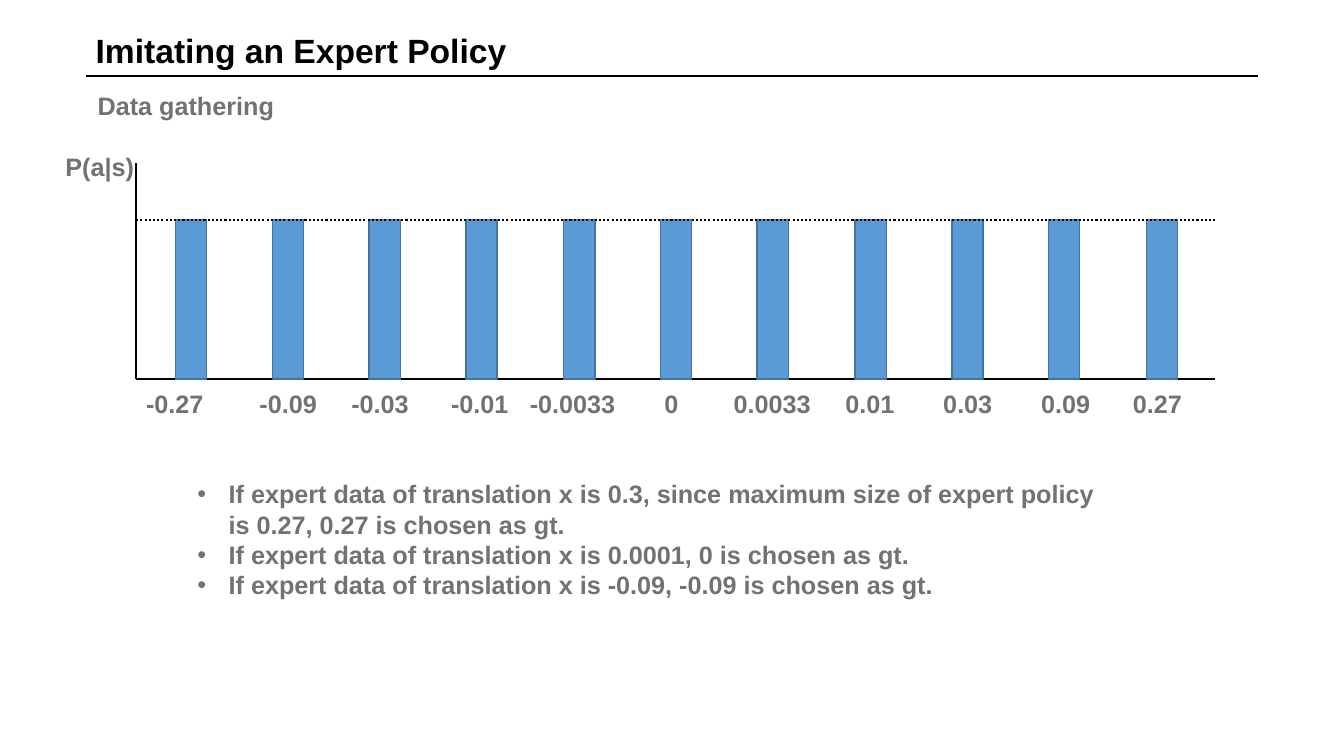
from dataclasses import dataclass

from lxml.etree import SubElement
from pptx import Presentation
from pptx.dml.color import RGBColor
from pptx.enum.dml import MSO_LINE
from pptx.enum.shapes import MSO_CONNECTOR, MSO_SHAPE
from pptx.oxml.ns import qn
from pptx.util import Pt

PX = 9144  # EMU in one px, 100 px to the inch


@dataclass(frozen=True)
class Theme:
    font: str = "Arial"
    black: RGBColor = RGBColor(0x00, 0x00, 0x00)
    grey: RGBColor = RGBColor(0x76, 0x71, 0x71)
    bar_fill: RGBColor = RGBColor(0x5B, 0x9B, 0xD5)
    bar_line: RGBColor = RGBColor(0x43, 0x73, 0x9E)
    title_size: int = 24
    body_size: int = 18
    rule_width: float = 1.5
    bar_line_width: int = 1


THEME = Theme()

ACTIONS = ["-0.27", "-0.09", "-0.03", "-0.01", "-0.0033", "0",
           "0.0033", "0.01", "0.03", "0.09", "0.27"]
# Label centres after the first one, measured from the start of the label text
LABEL_STOPS = [141, 232, 331, 423, 521, 621, 718, 815, 912, 1003]
NOTES = [
    "If expert data of translation x is 0.3, since maximum size of expert policy "
    "is 0.27, 0.27 is chosen as gt.",
    "If expert data of translation x is 0.0001, 0 is chosen as gt.",
    "If expert data of translation x is -0.09, -0.09 is chosen as gt.",
]


def add_text(page, box, lines, size=THEME.body_size, color=THEME.grey, wrap=True):
    frame = page.shapes.add_textbox(*(side * PX for side in box)).text_frame
    frame.word_wrap = wrap
    frame.text = "\n".join(lines)
    for para in frame.paragraphs:
        for span in para.runs:
            span.font.name = THEME.font
            span.font.size = Pt(size)
            span.font.bold = True
            span.font.color.rgb = color
    return frame


def add_rule(page, left, top, right, bottom, dash=None):
    rule = page.shapes.add_connector(
        MSO_CONNECTOR.STRAIGHT, left * PX, top * PX, right * PX, bottom * PX)
    rule.line.color.rgb = THEME.black
    rule.line.width = Pt(THEME.rule_width)
    if dash:
        rule.line.dash_style = dash
    SubElement(rule._element.spPr, qn("a:effectLst"))


def add_bar(page, left, top, width, height):
    bar = page.shapes.add_shape(
        MSO_SHAPE.RECTANGLE, left * PX, top * PX, width * PX, height * PX)
    bar.shadow.inherit = False
    bar.fill.solid()
    bar.fill.fore_color.rgb = THEME.bar_fill
    bar.line.color.rgb = THEME.bar_line
    bar.line.width = Pt(THEME.bar_line_width)


def add_header(page, left, top, width):
    add_rule(page, left, top + 50, left + width, top + 50)
    add_text(page, (left, top, 431, 50), ["Imitating an Expert Policy"],
             THEME.title_size, THEME.black, wrap=False)
    add_text(page, (left + 2, top + 60, 197, 40), ["Data gathering"], wrap=False)


def add_action_labels(page, left, top, width):
    frame = add_text(page, (left, top, width, 40), ["\t".join(ACTIONS)])
    stops = SubElement(frame.paragraphs[0]._p.get_or_add_pPr(), qn("a:tabLst"))
    for stop in LABEL_STOPS:
        SubElement(stops, qn("a:tab"), pos=str(stop * PX), algn="ctr")


def add_policy_plot(page, left, top, width, height):
    bar_top, bar_width, base = top + 56, 31, top + height
    first_bar, last_bar = left + 39, left + 1002
    gaps = len(ACTIONS) - 1

    # Base line and bars
    add_rule(page, left, base, left + width, base)
    for index in range(len(ACTIONS)):
        bar_left = first_bar + (last_bar - first_bar) * index // gaps
        add_bar(page, bar_left, bar_top, bar_width, base - bar_top)

    # Uniform probability level and vertical axis
    add_rule(page, left, bar_top, left + width, bar_top, MSO_LINE.ROUND_DOT)
    add_rule(page, left, top, left, base)

    # Axis texts
    add_action_labels(page, left, base + 4, 1058)
    add_text(page, (left - 80, top - 17, 98, 40), ["P(a|s)"])


def add_notes_list(page, left, top, width, height):
    frame = add_text(page, (left, top, width, height), NOTES)
    for para in frame.paragraphs:
        properties = para._p.get_or_add_pPr()
        properties.set("marL", str(31 * PX))
        properties.set("indent", str(-31 * PX))
        SubElement(properties, qn("a:buFont"), typeface=THEME.font)
        SubElement(properties, qn("a:buChar"), char="•")


def main():
    deck = Presentation()
    deck.slide_width, deck.slide_height = 1333 * PX, 750 * PX
    page = deck.slides.add_slide(deck.slide_layouts[6])
    add_header(page, 85, 25, 1163)
    add_policy_plot(page, 135, 162, 1070, 214)
    add_notes_list(page, 186, 470, 920, 162)
    deck.save("out.pptx")


if __name__ == "__main__":
    main()
